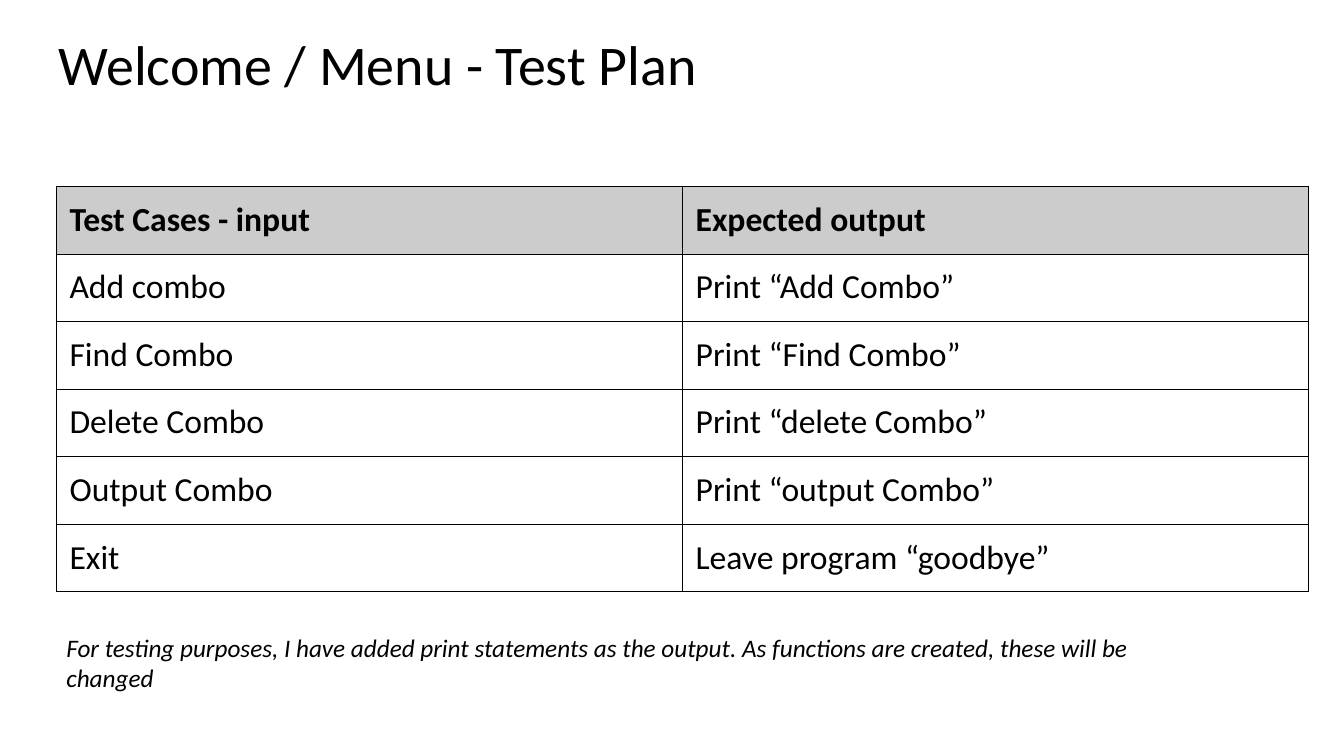
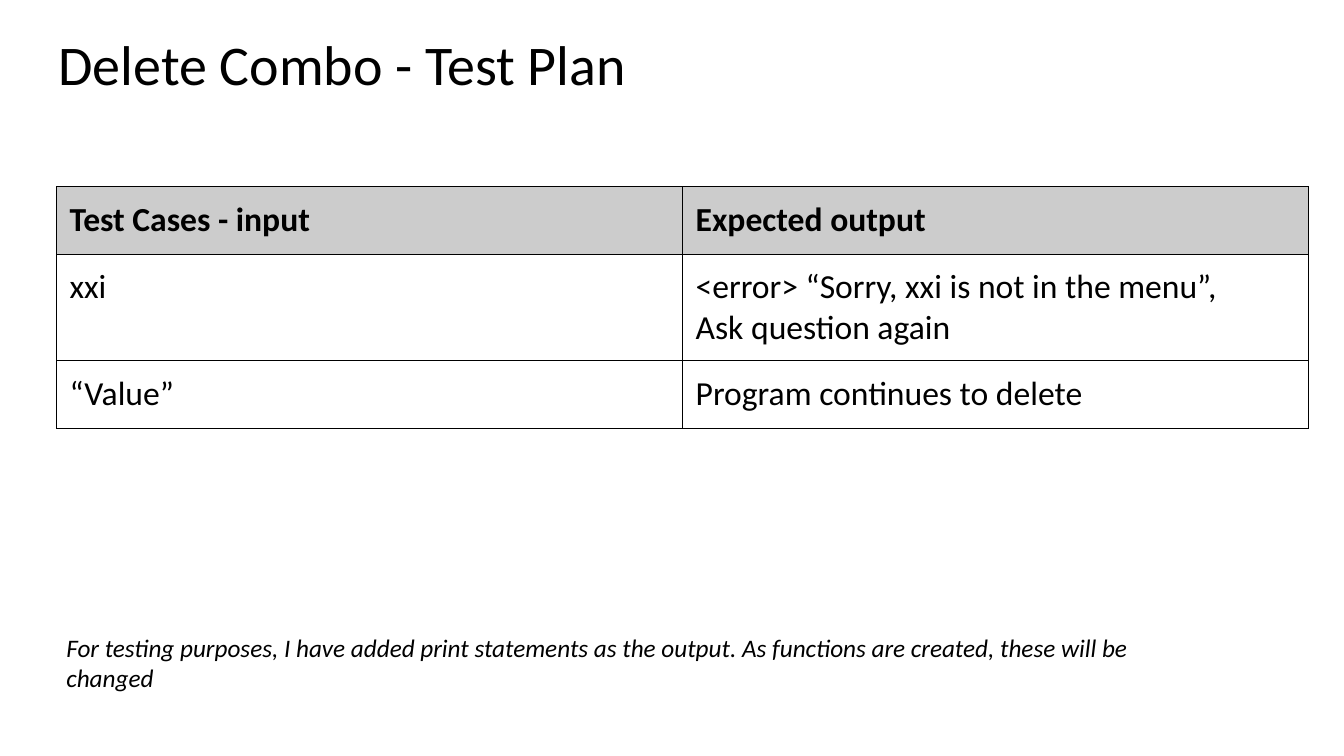
import pptx
import pptx.dml.color
import pptx.enum.text
import pptx.oxml.ns
import pptx.util
from lxml import etree

Inches = pptx.util.Inches
Pt = pptx.util.Pt

BLACK = pptx.dml.color.RGBColor(0x00, 0x00, 0x00)
HEADER_GREY = pptx.dml.color.RGBColor(0xCC, 0xCC, 0xCC)
FONT = "Calibri"
PADDING = Inches(0.13)
TABLE_LEFT = Inches(0.56)
CONTENT_WIDTH = Inches(12.42)
ROW_HEIGHT = Inches(0.67)

HEADER = ("Test Cases - input", "Expected output")
NOTE = (
    "For testing purposes, I have added print statements as the output. "
    "As functions are created, these will be changed"
)
TEST_PLANS = [
    ("Welcome / Menu - Test Plan", [
        ("Add combo", "Print “Add Combo”"),
        ("Find Combo", "Print “Find Combo”"),
        ("Delete Combo", "Print “delete Combo”"),
        ("Output Combo", "Print “output Combo”"),
        ("Exit", "Leave program “goodbye”"),
    ]),
    ("Delete Combo - Test Plan", [
        ("xxi", "<error> “Sorry, xxi is not in the menu”,\nAsk question again"),
        ("“Value”", "Program continues to delete"),
    ]),
]


def write_text(frame, text, size, bold=False, italic=False):
    frame.text = text
    frame.word_wrap = True
    for paragraph in frame.paragraphs:
        for run in paragraph.runs:
            run.font.name = FONT
            run.font.size = Pt(size)
            run.font.bold = bold
            run.font.italic = italic
            run.font.color.rgb = BLACK


def add_borders(cell):
    properties = cell._tc.get_or_add_tcPr()
    for side in ("a:lnL", "a:lnR", "a:lnT", "a:lnB"):
        line = etree.SubElement(properties, pptx.oxml.ns.qn(side), w=str(Pt(0.75)))
        fill = etree.SubElement(line, pptx.oxml.ns.qn("a:solidFill"))
        etree.SubElement(fill, pptx.oxml.ns.qn("a:srgbClr"), val=str(BLACK))


deck = pptx.Presentation()
deck.slide_width = Inches(13.33)
deck.slide_height = Inches(7.5)

for heading, test_cases in TEST_PLANS:
    slide = deck.slides.add_slide(deck.slide_layouts[6])

    title = slide.shapes.add_textbox(Inches(0.45), Inches(0.24), CONTENT_WIDTH, Inches(0.84)).text_frame
    write_text(title, heading, 40)
    title.margin_left = title.margin_right = PADDING
    title.margin_top = title.margin_bottom = PADDING
    title.paragraphs[0].line_spacing = 0.9

    rows = [HEADER] + test_cases
    plan = slide.shapes.add_table(
        len(rows), len(HEADER), TABLE_LEFT, Inches(1.85), CONTENT_WIDTH, ROW_HEIGHT * len(rows)
    ).table
    plan.horz_banding = False
    plan.first_row = False
    for row_index, row in enumerate(rows):
        is_header = row_index == 0
        for column_index, entry in enumerate(row):
            cell = plan.cell(row_index, column_index)
            cell.margin_left = cell.margin_right = PADDING
            cell.margin_top = cell.margin_bottom = PADDING
            write_text(cell.text_frame, entry, 24, bold=is_header)
            add_borders(cell)
            if is_header:
                cell.fill.solid()
                cell.fill.fore_color.rgb = HEADER_GREY
            else:
                cell.fill.background()

    note = slide.shapes.add_textbox(TABLE_LEFT, Inches(6.22), Inches(10.94), Inches(0.71)).text_frame
    write_text(note, NOTE, 18, italic=True)
    note.auto_size = pptx.enum.text.MSO_AUTO_SIZE.SHAPE_TO_FIT_TEXT

deck.save("out.pptx")
